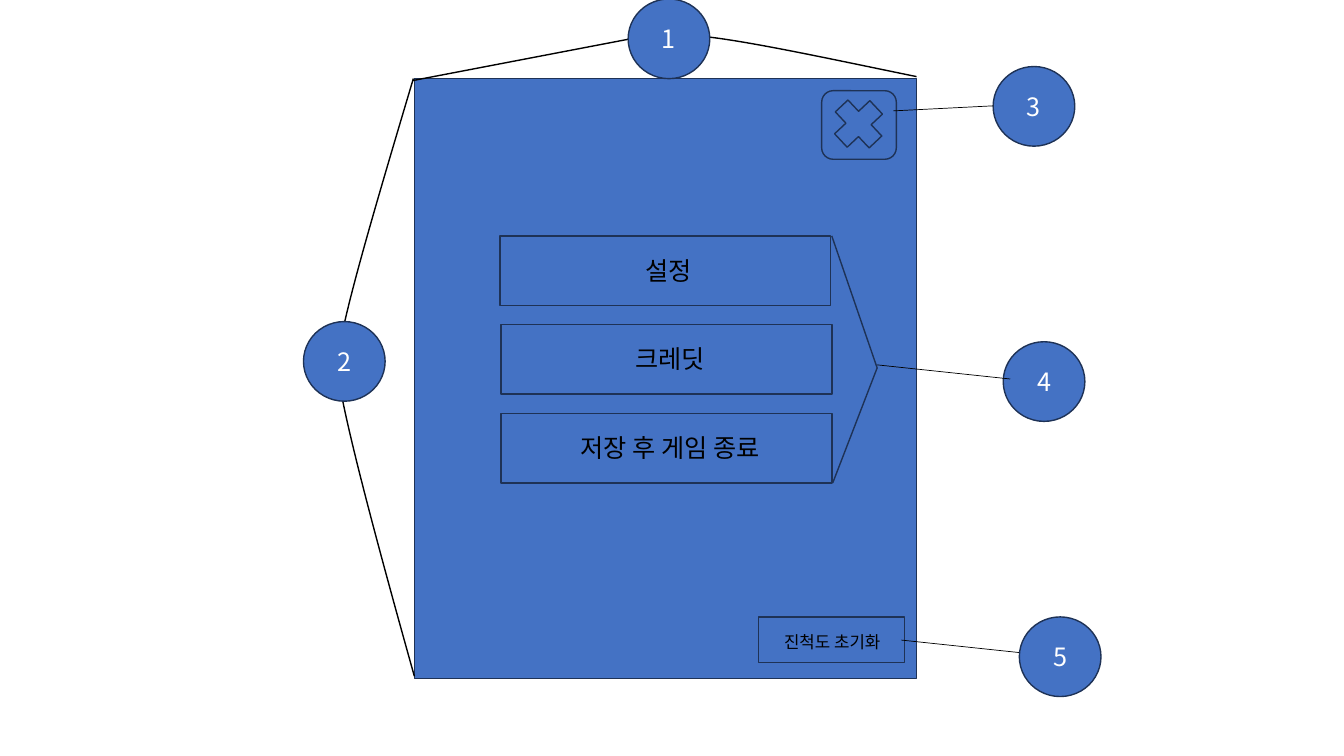
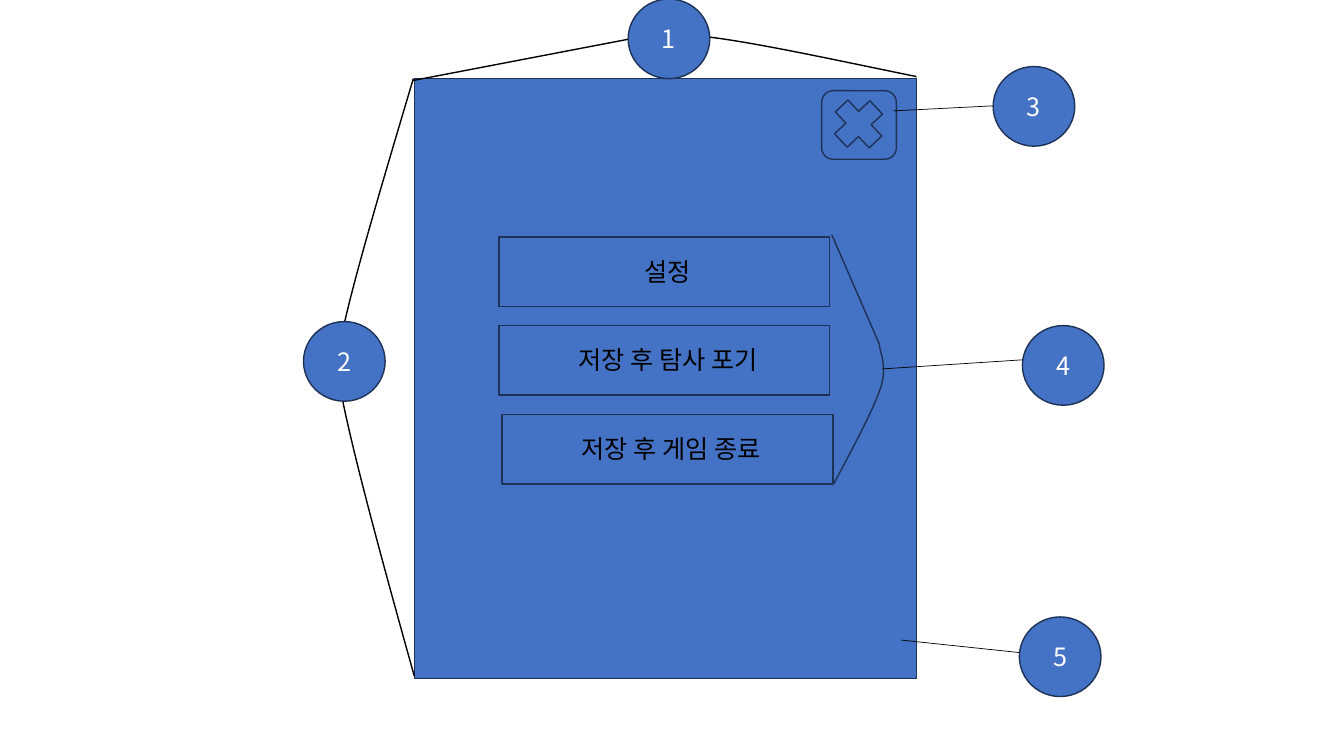
from lxml.etree import SubElement
from pptx import Presentation
from pptx.dml.color import RGBColor
from pptx.enum.shapes import MSO_CONNECTOR, MSO_SHAPE
from pptx.enum.text import MSO_ANCHOR, MSO_AUTO_SIZE, PP_ALIGN
from pptx.oxml.ns import qn
from pptx.util import Inches, Pt

FONT = "Noto Sans CJK KR"
BLUE = "4472C4"
NAVY = "1E3256"
BLACK = "000000"
WHITE = "FFFFFF"
BUTTON_WIDTH, BUTTON_HEIGHT, BUTTON_PITCH = 3.28, 0.69, 0.88

TOP_BRACE = (4.09, 0.35, 5, 0.45), [
    [(4.09, 0.8)],
    [(6.23, 0.39)],
    [(6.37, 0.39), (6.57, 0.31), (7.05, 0.37)],
    [(7.53, 0.43), (8.31, 0.6), (9.09, 0.76)],
]
SIDE_BRACE = (3.33, 0.78, 0.78, 5.93), [
    [(4.1, 0.78)],
    [(3.82, 1.72), (3.54, 2.66), (3.42, 3.19)],
    [(3.31, 3.73), (3.29, 3.39), (3.4, 3.98)],
    [(3.52, 4.57), (3.81, 5.64), (4.11, 6.71)],
]
TITLE_MENU_BRACE = (8.25, 2.34, 0.44, 2.45), [
    [(8.25, 2.34)], [(8.7, 3.65)], [(8.26, 4.79)],
]
EXPLORE_MENU_BRACE = (8.25, 2.33, 0.52, 2.47), [
    [(8.25, 2.33)],
    [(8.72, 3.41)],
    [(8.72, 3.48), (8.81, 3.63), (8.73, 3.86)],
    [(8.65, 4.09), (8.46, 4.44), (8.27, 4.8)],
]


def color(value):
    return RGBColor.from_string(value)


def inches(*values):
    return [Inches(value) for value in values]


def add_box(shapes, kind, left, top, width, height):
    box = shapes.add_shape(kind, *inches(left, top, width, height))
    box.shadow.inherit = False
    box.fill.solid()
    box.fill.fore_color.rgb = color(BLUE)
    box.line.color.rgb = color(NAVY)
    box.line.width = Pt(1)
    return box


def write(box, text, size, text_color):
    box.text_frame.word_wrap = True
    para = box.text_frame.paragraphs[0]
    para.text = text
    para.alignment = PP_ALIGN.CENTER
    para.font.name = FONT
    para.font.size = Pt(size)
    para.font.color.rgb = color(text_color)


def add_callout(page, number, left, top):
    circle = add_box(page.shapes, MSO_SHAPE.OVAL, left, top, 0.81, 0.79)
    circle.text_frame.vertical_anchor = MSO_ANCHOR.MIDDLE
    write(circle, str(number), 18, WHITE)


def add_leader(page, start, end):
    leader = page.shapes.add_connector(MSO_CONNECTOR.STRAIGHT, *inches(*start, *end))
    leader.line.color.rgb = color(BLACK)
    leader.line.width = Pt(0.5)
    SubElement(leader._element.spPr, qn("a:effectLst"))


def add_brace(page, frame, segments, line_color):
    left, top, width, height = frame
    builder = page.shapes.build_freeform(*inches(left, top))
    builder.add_line_segments([inches(left + width, top + height)], close=False)
    brace = builder.convert_to_shape()
    outline = brace._element.spPr.find(".//" + qn("a:path"))
    for command in list(outline):
        outline.remove(command)
    for index, segment in enumerate(segments):
        if index == 0:
            tag = "a:moveTo"
        else:
            tag = "a:lnTo" if len(segment) == 1 else "a:cubicBezTo"
        command = SubElement(outline, qn(tag))
        for x, y in segment:
            point = SubElement(command, qn("a:pt"))
            point.set("x", str(Inches(x - left)))
            point.set("y", str(Inches(y - top)))
    brace.shadow.inherit = False
    brace.fill.background()
    brace.line.color.rgb = color(line_color)
    brace.line.width = Pt(1)


def add_button(page, button_frame, label_frame, label, size):
    group = page.shapes.add_group_shape()
    add_box(group.shapes, MSO_SHAPE.FLOWCHART_PROCESS, *button_frame)
    box = group.shapes.add_textbox(*inches(*label_frame))
    box.text_frame.auto_size = MSO_AUTO_SIZE.SHAPE_TO_FIT_TEXT
    write(box, label, size, BLACK)


def add_menu(page, first_top, buttons):
    for row, (label, left) in enumerate(buttons):
        top = first_top + row * BUTTON_PITCH
        add_button(
            page, (left, top, BUTTON_WIDTH, BUTTON_HEIGHT),
            (left + 0.17, top + 0.14, 3.01, 0.4), label, 18,
        )


def add_popup(deck):
    page = deck.slides.add_slide(deck.slide_layouts[6])
    add_box(page.shapes, MSO_SHAPE.RECTANGLE, 4.11, 0.78, 4.98, 5.95)
    add_box(page.shapes, MSO_SHAPE.ROUNDED_RECTANGLE, 8.15, 0.9, 0.74, 0.68)
    cross = add_box(page.shapes, MSO_SHAPE.CROSS, 8.27, 0.99, 0.49, 0.48)
    cross.adjustments[0] = 0.32
    cross.rotation = 46.8
    add_brace(page, *TOP_BRACE, BLACK)
    add_callout(page, 1, 6.23, -0.01)
    add_brace(page, *SIDE_BRACE, BLACK)
    add_callout(page, 2, 3.01, 3.19)
    add_callout(page, 3, 9.85, 0.66)
    add_leader(page, (8.86, 1.1), (9.85, 1.05))
    return page


def add_reset_callout(page):
    add_leader(page, (8.94, 6.35), (10.26, 6.49))
    add_callout(page, 5, 10.11, 6.12)


def add_title_popup(deck):
    page = add_popup(deck)
    add_menu(page, 2.34, [("설정", 4.96), ("크레딧", 4.97), ("저장 후 게임 종료", 4.97)])
    add_button(
        page, (7.52, 6.12, 1.45, 0.45), (7.59, 6.22, 1.33, 0.2), "진척도 초기화", 12
    )
    add_callout(page, 4, 9.95, 3.39)
    add_brace(page, *TITLE_MENU_BRACE, NAVY)
    add_leader(page, (8.7, 3.62), (10.02, 3.76))
    add_reset_callout(page)


def add_explore_popup(deck):
    page = add_popup(deck)
    add_menu(
        page, 2.35,
        [("설정", 4.95), ("저장 후 탐사 포기", 4.95), ("저장 후 게임 종료", 4.98)],
    )
    add_callout(page, 4, 10.14, 3.23)
    add_brace(page, *EXPLORE_MENU_BRACE, NAVY)
    add_leader(page, (8.75, 3.66), (10.14, 3.57))
    add_reset_callout(page)


def main():
    deck = Presentation()
    deck.slide_width = Inches(13.33)
    deck.slide_height = Inches(7.5)
    add_title_popup(deck)
    add_explore_popup(deck)
    deck.save("out.pptx")


if __name__ == "__main__":
    main()
